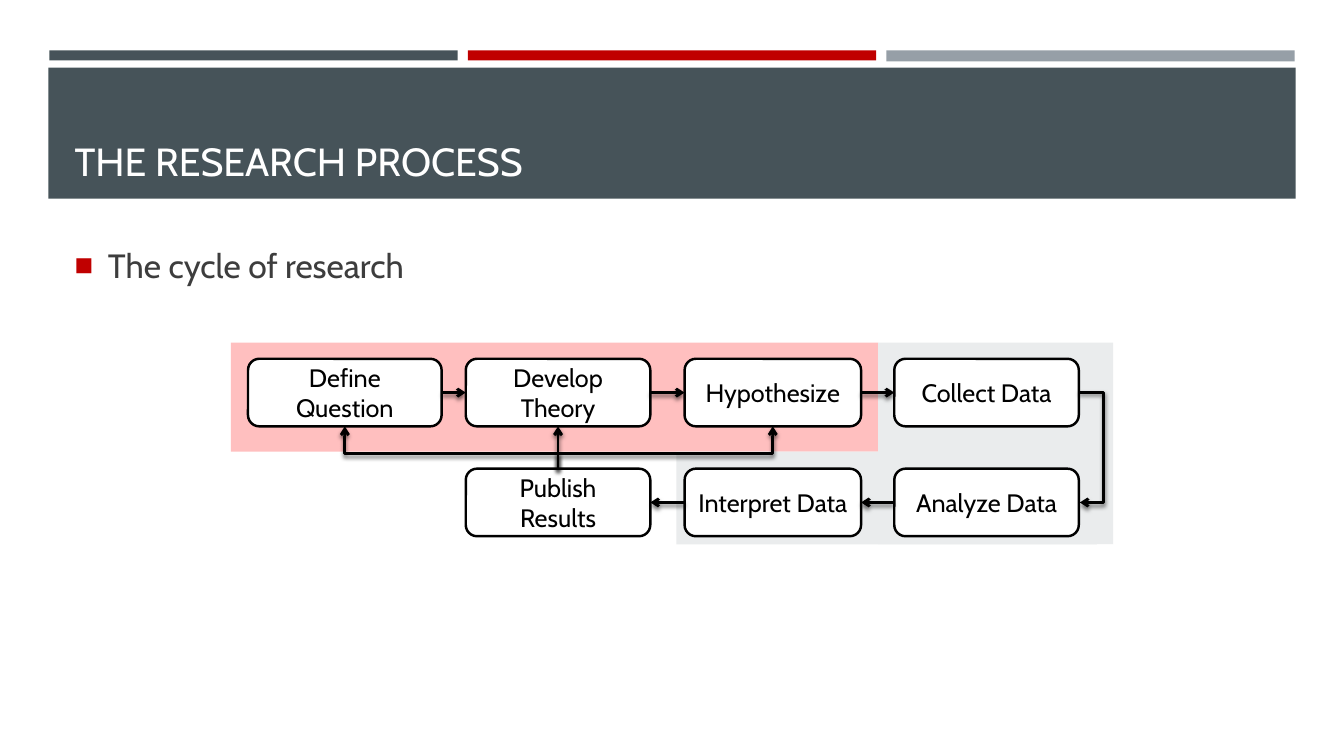
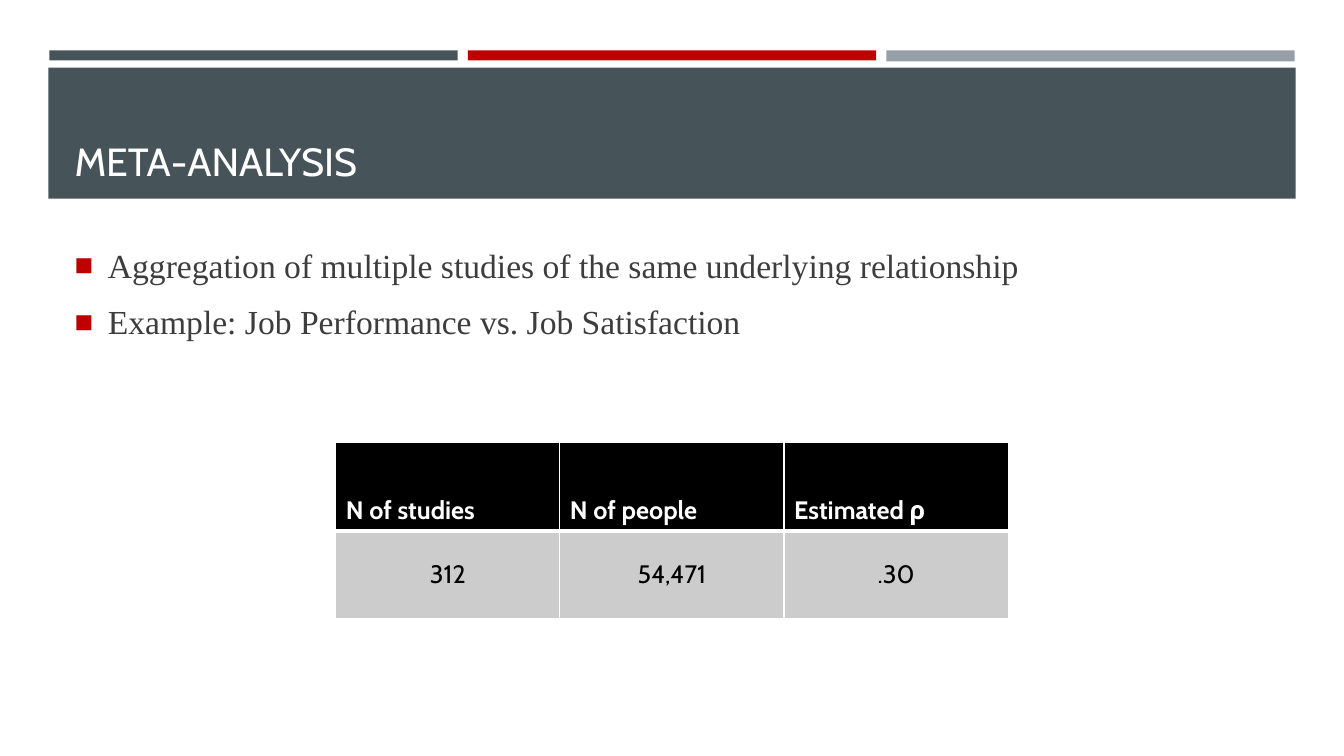
from dataclasses import dataclass

from lxml import etree
from pptx import Presentation
from pptx.dml.color import RGBColor
from pptx.enum.shapes import MSO_CONNECTOR, MSO_SHAPE
from pptx.enum.text import MSO_ANCHOR, MSO_AUTO_SIZE, PP_ALIGN
from pptx.oxml.ns import qn
from pptx.shapes.autoshape import Shape
from pptx.shapes.connector import Connector
from pptx.slide import Slide, SlideLayout
from pptx.util import Inches, Pt

RECTANGLE = MSO_SHAPE.RECTANGLE
ROUNDED = MSO_SHAPE.ROUNDED_RECTANGLE
STRAIGHT = MSO_CONNECTOR.STRAIGHT
ELBOW = MSO_CONNECTOR.ELBOW
LEFT, CENTER = PP_ALIGN.LEFT, PP_ALIGN.CENTER
TOP, MIDDLE, BOTTOM = MSO_ANCHOR.TOP, MSO_ANCHOR.MIDDLE, MSO_ANCHOR.BOTTOM
TOP_SIDE, LEFT_SIDE, BOTTOM_SIDE, RIGHT_SIDE = range(4)


@dataclass(frozen=True)
class Theme:
    slate: str = "465359"
    red: str = "C00000"
    silver: str = "969FA7"
    pink: str = "FFBFBF"
    mist: str = "EAECED"
    gray: str = "CCCCCC"
    ink: str = "3D3D3D"
    black: str = "000000"
    white: str = "FFFFFF"
    sans: str = "Cabin"
    serif: str = "Times New Roman"
    title_size: int = 28
    body_size: int = 24
    label_size: int = 18


@dataclass(frozen=True)
class Panel:
    left: float
    top: float
    width: float
    height: float
    color: str


@dataclass(frozen=True)
class Step:
    label: str
    column: int
    row: int
    margin: float = 0.08


@dataclass(frozen=True)
class Link:
    start: str
    start_side: int
    end: str
    end_side: int


THEME = Theme()
BANDS = [
    Panel(0.49, 0.5, 4.05, 0.1, THEME.slate),
    Panel(8.79, 0.5, 4.05, 0.11, THEME.silver),
    Panel(4.64, 0.5, 4.05, 0.1, THEME.red),
    Panel(0.48, 0.67, 12.37, 1.3, THEME.slate),
]
ZONES = [
    Panel(2.29, 3.4, 6.42, 1.08, THEME.pink),
    Panel(8.71, 3.4, 2.33, 2, THEME.mist),
    Panel(6.71, 4.48, 4.17, 0.92, THEME.mist),
]
STEP_COLUMNS = [(2.46, 1.92), (4.62, 1.83), (6.79, 1.75), (8.87, 1.83)]
STEP_ROWS = [3.56, 4.65]
STEP_HEIGHT = 0.67
STEPS = [
    Step("Define Question", 0, 0),
    Step("Develop Theory", 1, 0),
    Step("Hypothesize", 2, 0),
    Step("Collect Data", 3, 0),
    Step("Analyze Data", 3, 1),
    Step("Interpret Data", 2, 1),
    Step("Publish Results", 1, 1, 0.14),
]
LINKS = [
    Link("Define Question", RIGHT_SIDE, "Develop Theory", LEFT_SIDE),
    Link("Develop Theory", RIGHT_SIDE, "Hypothesize", LEFT_SIDE),
    Link("Hypothesize", RIGHT_SIDE, "Collect Data", LEFT_SIDE),
    Link("Analyze Data", LEFT_SIDE, "Interpret Data", RIGHT_SIDE),
    Link("Interpret Data", LEFT_SIDE, "Publish Results", RIGHT_SIDE),
    Link("Publish Results", TOP_SIDE, "Develop Theory", BOTTOM_SIDE),
]
FINDINGS = [
    ["N of studies", "N of people", "Estimated ρ"],
    ["312", "54,471", ".30"],
]


def rgb(color: str) -> RGBColor:
    return RGBColor.from_string(color)


def add_node(parent, tag: str, **attributes):
    return etree.SubElement(parent, qn(tag), attributes)


def style_paragraph(paragraph, size: int, color: str, align=LEFT,
                    font: str = THEME.sans, bold: bool = False) -> None:
    paragraph.alignment = align
    paragraph.font.name = font
    paragraph.font.size = Pt(size)
    paragraph.font.bold = bold
    paragraph.font.color.rgb = rgb(color)


def place(shape, left: float, top: float, width: float, height: float) -> None:
    shape.left, shape.top = Inches(left), Inches(top)
    shape.width, shape.height = Inches(width), Inches(height)


def add_panel(slide: Slide, panel: Panel, kind=RECTANGLE) -> Shape:
    shape = slide.shapes.add_shape(kind, Inches(panel.left), Inches(panel.top),
                                   Inches(panel.width), Inches(panel.height))
    shape.shadow.inherit = False
    shape.fill.solid()
    shape.fill.fore_color.rgb = rgb(panel.color)
    shape.line.fill.background()
    return shape


def prepare_layout(layout: SlideLayout, slide: Slide) -> None:
    for position, band in enumerate(BANDS, start=2):
        layout.shapes.element.insert(position, add_panel(slide, band).element)


def add_bullet(paragraph) -> None:
    paragraph.space_before = Pt(5.5)
    paragraph.space_after = Pt(6)
    properties = paragraph._p.get_or_add_pPr()
    properties.set("marL", str(Inches(0.33)))
    properties.set("indent", str(-Inches(0.33)))
    add_node(add_node(properties, "a:buClr"), "a:srgbClr", val=THEME.red)
    add_node(properties, "a:buSzPct", val="92000")
    add_node(properties, "a:buFont", typeface="Arial")
    add_node(properties, "a:buChar", char="■")


def fill_placeholders(slide: Slide, heading: str, items: list[str], font: str) -> None:
    title, body = slide.shapes.title, slide.placeholders[1]
    place(title, 0.64, 0.77, 12.06, 1.11)
    place(body, 0.64, 2.38, 12.06, 4.02)
    title.text_frame.text = heading
    body.text_frame.text = "\n".join(items)
    for shape, anchor in ((title, BOTTOM), (body, TOP)):
        shape.text_frame.auto_size = MSO_AUTO_SIZE.NONE
        shape.text_frame.vertical_anchor = anchor
    style_paragraph(title.text_frame.paragraphs[0], THEME.title_size, THEME.white)
    for paragraph in body.text_frame.paragraphs:
        style_paragraph(paragraph, THEME.body_size, THEME.ink, font=font)
        add_bullet(paragraph)


def add_step(slide: Slide, step: Step) -> Shape:
    left, width = STEP_COLUMNS[step.column]
    box = add_panel(slide, Panel(left, STEP_ROWS[step.row], width, STEP_HEIGHT,
                                 THEME.white), ROUNDED)
    box.line.color.rgb = rgb(THEME.black)
    box.line.width = Pt(1.75)
    frame = box.text_frame
    frame.word_wrap = True
    frame.vertical_anchor = MIDDLE
    frame.margin_left = frame.margin_right = Inches(step.margin)
    frame.text = step.label
    style_paragraph(frame.paragraphs[0], THEME.label_size, THEME.black, CENTER)
    return box


def add_arrow(slide: Slide, kind, begin: tuple[int, int], end: tuple[int, int]) -> Connector:
    arrow = slide.shapes.add_connector(kind, *begin, *end)
    arrow.line.color.rgb = rgb(THEME.black)
    arrow.line.width = Pt(2)
    properties = arrow.element.spPr
    add_node(properties.find(qn("a:ln")), "a:tailEnd", type="arrow")
    shadow = add_node(add_node(properties, "a:effectLst"), "a:outerShdw",
                      blurRad=str(Pt(3)), dist=str(Pt(2)), dir="5400000", rotWithShape="0")
    color = add_node(shadow, "a:srgbClr", val=THEME.black)
    add_node(color, "a:alpha", val="55000")
    return arrow


def set_bend(arrow: Connector, ratio: float) -> None:
    geometry = arrow.element.spPr.find(qn("a:prstGeom"))
    guides = geometry.find(qn("a:avLst"))
    if guides is None:
        guides = add_node(geometry, "a:avLst")
    add_node(guides, "a:gd", name="adj1", fmla=f"val {round(ratio * 100000)}")


def add_side_elbow(slide: Slide, start: Shape, end: Shape) -> None:
    right = start.left + start.width
    thickness = Inches(0.01)
    arrow = add_arrow(slide, ELBOW, (right, start.top + start.height // 2),
                      (right + thickness, end.top + end.height // 2))
    set_bend(arrow, Inches(0.25) / thickness)


def add_upward_elbow(slide: Slide, start: Shape, end: Shape) -> None:
    start_x, end_x = (box.left + box.width // 2 for box in (start, end))
    end_y = end.top + end.height
    center_x, center_y = (start_x + end_x) // 2, (start.top + end_y) // 2
    side = 1 if end_x > start_x else -1
    half_run = abs(end_x - start_x) // 2
    half_rise = side * (start.top - end_y) // 2
    arrow = add_arrow(slide, ELBOW, (center_x + half_rise, center_y + half_run),
                      (center_x - half_rise, center_y - half_run))
    arrow.element.spPr.find(qn("a:xfrm")).set("rot", str((180 - side * 90) * 60000))
    set_bend(arrow, 0.36)


def add_cycle(slide: Slide) -> None:
    for zone in ZONES:
        add_panel(slide, zone)
    boxes = {step.label: add_step(slide, step) for step in STEPS}
    for link in LINKS:
        arrow = add_arrow(slide, STRAIGHT, (0, 0), (0, 0))
        arrow.begin_connect(boxes[link.start], link.start_side)
        arrow.end_connect(boxes[link.end], link.end_side)
    add_side_elbow(slide, boxes["Collect Data"], boxes["Analyze Data"])
    for target in ("Hypothesize", "Define Question"):
        add_upward_elbow(slide, boxes["Publish Results"], boxes[target])


def set_borders(cell, bottom_width: int) -> None:
    properties = cell._tc.get_or_add_tcPr()
    for side, width in (("L", 1), ("R", 1), ("T", 1), ("B", bottom_width)):
        line = add_node(properties, f"a:ln{side}", w=str(Pt(width)))
        add_node(add_node(line, "a:solidFill"), "a:srgbClr", val=THEME.white)


def add_findings(slide: Slide) -> None:
    table = slide.shapes.add_table(len(FINDINGS), len(FINDINGS[0]), Inches(3.33),
                                   Inches(4.39), Inches(6.67), Inches(1.75)).table
    for row, values in enumerate(FINDINGS):
        header = row == 0
        for column, value in enumerate(values):
            cell = table.cell(row, column)
            set_borders(cell, 3 if header else 1)
            cell.fill.solid()
            cell.fill.fore_color.rgb = rgb(THEME.black if header else THEME.gray)
            cell.vertical_anchor = BOTTOM if header else MIDDLE
            cell.text = value
            style_paragraph(cell.text_frame.paragraphs[0], THEME.label_size,
                            THEME.white if header else THEME.black,
                            LEFT if header else CENTER, bold=header)


def main() -> None:
    deck = Presentation()
    deck.slide_width, deck.slide_height = Inches(13.33), Inches(7.5)
    layout = deck.slide_layouts[1]

    process = deck.slides.add_slide(layout)
    prepare_layout(layout, process)
    fill_placeholders(process, "THE RESEARCH PROCESS", ["The cycle of research"], THEME.sans)
    add_cycle(process)

    analysis = deck.slides.add_slide(layout)
    fill_placeholders(analysis, "META-ANALYSIS", [
        "Aggregation of multiple studies of the same underlying relationship",
        "Example: Job Performance vs. Job Satisfaction",
    ], THEME.serif)
    add_findings(analysis)
    deck.save("out.pptx")


if __name__ == "__main__":
    main()
